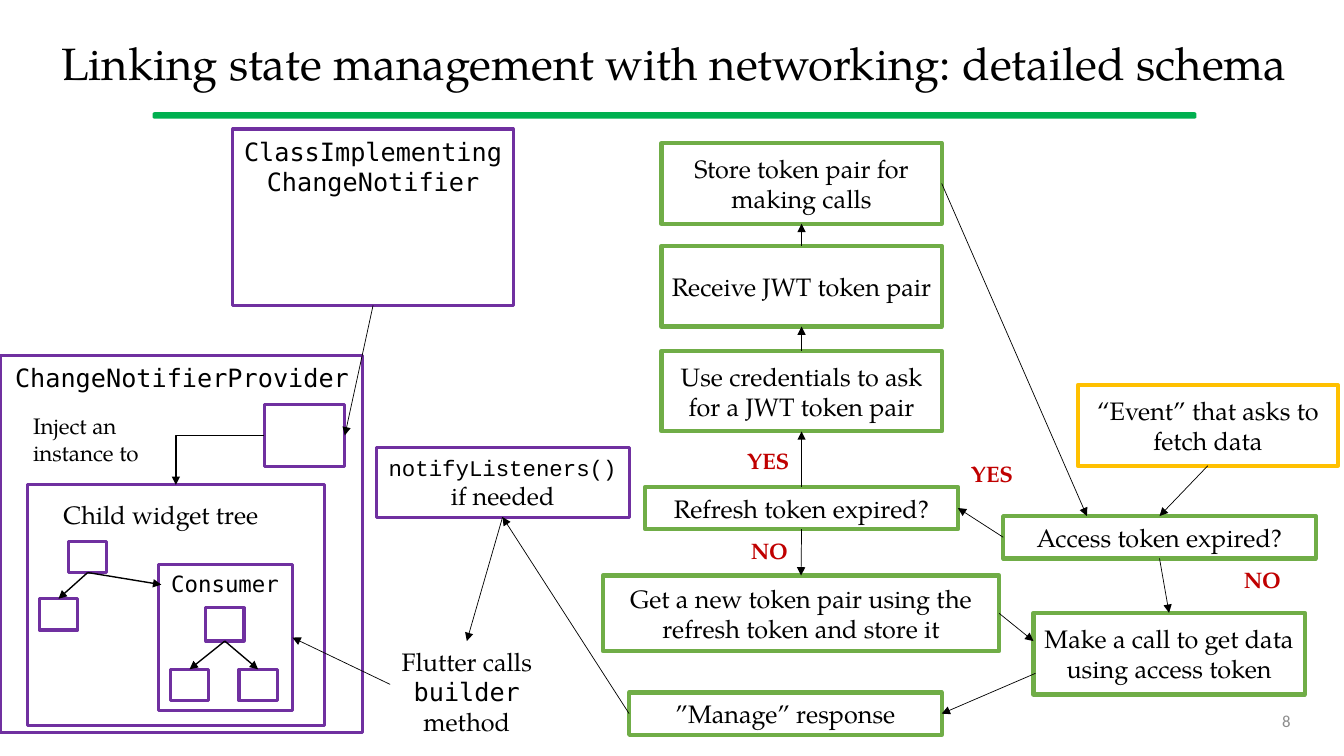
"""Builds a slide linking Flutter state management with token-based networking."""
from lxml import etree
from pptx import Presentation
from pptx.dml.color import RGBColor
from pptx.enum.shapes import MSO_CONNECTOR, MSO_SHAPE
from pptx.enum.text import MSO_ANCHOR, PP_ALIGN
from pptx.oxml.ns import qn
from pptx.util import Inches, Pt

RECTANGLE, ROUNDED = MSO_SHAPE.RECTANGLE, MSO_SHAPE.ROUNDED_RECTANGLE
STRAIGHT, ELBOW = MSO_CONNECTOR.STRAIGHT, MSO_CONNECTOR.ELBOW
LEFT, CENTER, RIGHT = PP_ALIGN.LEFT, PP_ALIGN.CENTER, PP_ALIGN.RIGHT
TOP, MIDDLE = MSO_ANCHOR.TOP, MSO_ANCHOR.MIDDLE
TOP_SITE, LEFT_SITE, BOTTOM_SITE, RIGHT_SITE = range(4)

BLACK = RGBColor(0x00, 0x00, 0x00)
WHITE = RGBColor(0xFF, 0xFF, 0xFF)
GRAY = RGBColor(0x8C, 0x8C, 0x8C)
RED = RGBColor(0xC0, 0x00, 0x00)
PURPLE = RGBColor(0x70, 0x30, 0xA0)
GREEN = RGBColor(0x70, 0xAD, 0x47)
BAR_GREEN = RGBColor(0x00, 0xB0, 0x50)
GOLD = RGBColor(0xFF, 0xC0, 0x00)

SERIF, MONO, COURIER, SANS = "TeX Gyre Pagella", "DejaVu Sans Mono", "Courier New", "Calibri"
COLUMNS, ROWS = 13.33, 7.5
CELL = Inches(1)
THIN, MEDIUM = 0.5, 1


def grid(*cells):
    """Turn grid columns and rows into slide lengths."""
    return [round(cell * CELL) for cell in cells]


def write(shape, text, size=18, font=SERIF, color=BLACK, align=CENTER, anchor=MIDDLE,
          bold=False, spacing=None):
    """Fill a shape with one wrapped paragraph in a single font."""
    frame = shape.text_frame
    frame.word_wrap = True
    frame.vertical_anchor = anchor
    paragraph = frame.paragraphs[0]
    paragraph.text = text
    paragraph.alignment = align
    paragraph.line_spacing = spacing
    paragraph.font.size = Pt(size)
    paragraph.font.name = font
    paragraph.font.bold = bold
    paragraph.font.color.rgb = color
    return paragraph


def add_run(paragraph, text, font, size=18):
    """Append a run in its own font."""
    run = paragraph.add_run()
    run.text = text
    run.font.name = font
    run.font.size = Pt(size)


def label(slide, place, text, anchor=TOP, **style):
    """Add a free text label."""
    return write(slide.shapes.add_textbox(*grid(*place)), text, anchor=anchor, **style)


def frame_box(slide, *place):
    """Add an unfilled purple widget frame."""
    shape = slide.shapes.add_shape(RECTANGLE, *grid(*place))
    shape.shadow.inherit = False
    shape.fill.background()
    shape.line.color.rgb = PURPLE
    shape.line.width = Pt(2.25)
    return shape


def step_box(slide, place, text, color=GREEN):
    """Add a white box for one step of the networking flow."""
    shape = slide.shapes.add_shape(RECTANGLE, *grid(*place))
    shape.shadow.inherit = False
    shape.fill.solid()
    shape.fill.fore_color.rgb = WHITE
    shape.line.color.rgb = color
    shape.line.width = Pt(3)
    write(shape, text)
    return shape


def arrow(slide, start, end, width=THIN, kind=STRAIGHT):
    """Draw an arrow between ends given as (shape, site) or (column, row)."""
    connector = slide.shapes.add_connector(kind, 0, 0, 0, 0)
    if isinstance(start[0], (int, float)):
        connector.begin_x, connector.begin_y = grid(*start)
    else:
        connector.begin_connect(*start)
    if isinstance(end[0], (int, float)):
        connector.end_x, connector.end_y = grid(*end)
    else:
        connector.end_connect(*end)
    connector.line.color.rgb = BLACK
    connector.line.width = Pt(width)
    etree.SubElement(connector.line._get_or_add_ln(), qn("a:tailEnd"), type="triangle")
    properties = connector._element.spPr
    etree.SubElement(properties, qn("a:effectLst"))
    if kind == ELBOW:
        properties.find(qn("a:prstGeom")).set("prst", "bentConnector2")


def add_heading(slide):
    """Add the title, the green bar and the slide number."""
    bar = slide.shapes.add_shape(ROUNDED, *grid(1.52, 1.12, 10.34, 0.05))
    bar.shadow.inherit = False
    bar.adjustments[0] = 0.26
    bar.fill.solid()
    bar.fill.fore_color.rgb = BAR_GREEN
    bar.line.color.rgb = BAR_GREEN
    bar.line.width = Pt(1)
    label(slide, (0.47, 0.18, 12.43, 0.94),
          "Linking state management with networking: detailed schema",
          anchor=MIDDLE, size=32.4, spacing=0.9)
    label(slide, (9.42, 6.95, 3.48, 0.4), "8",
          anchor=MIDDLE, size=12, font=SANS, color=GRAY, align=RIGHT)


def add_widget_side(slide):
    """Add the state management half and return its notify box."""
    notifier = frame_box(slide, 2.31, 1.28, 2.78, 1.75)
    label(slide, (2.3, 1.3, 2.8, 0.71), "ClassImplementingChangeNotifier", font=MONO)
    frame_box(slide, 0, 3.53, 3.6, 3.74)
    label(slide, (-0.07, 3.55, 3.75, 0.4), "ChangeNotifierProvider", font=MONO)
    tree = frame_box(slide, 0.27, 4.81, 2.95, 2.39)
    label(slide, (0.52, 4.9, 2.15, 0.4), "Child widget tree")
    instance = frame_box(slide, 2.62, 4.01, 0.8, 0.62)
    label(slide, (0.23, 4.04, 1.48, 0.64), "Inject an instance to", size=16, align=LEFT)
    consumer = frame_box(slide, 1.57, 5.6, 1.33, 1.45)
    label(slide, (1.6, 5.61, 1.28, 0.37), "Consumer", size=16, font=MONO, align=LEFT)

    root = frame_box(slide, 0.68, 5.37, 0.38, 0.31)
    leaf = frame_box(slide, 0.39, 5.94, 0.38, 0.31)
    parent = frame_box(slide, 2.04, 6.03, 0.38, 0.33)
    children = [frame_box(slide, column, 6.64, 0.38, 0.31) for column in (1.69, 2.37)]
    arrow(slide, (root, BOTTOM_SITE), (1.6, 5.8), MEDIUM)
    arrow(slide, (root, BOTTOM_SITE), (leaf, TOP_SITE), MEDIUM)
    for child in children:
        arrow(slide, (parent, BOTTOM_SITE), (child, TOP_SITE), MEDIUM)
    arrow(slide, (instance, LEFT_SITE), (tree, TOP_SITE), MEDIUM, ELBOW)
    arrow(slide, (notifier, BOTTOM_SITE), (instance, RIGHT_SITE))

    notify = frame_box(slide, 3.73, 4.44, 2.51, 0.69)
    paragraph = write(notify, "")
    add_run(paragraph, "notifyListeners() ", COURIER, 16)
    add_run(paragraph, "if needed", SERIF)
    paragraph = label(slide, (3.7, 6.36, 1.86, 1.01), "")
    for text, font in (("Flutter calls ", SERIF), ("builder ", MONO), ("method", SERIF)):
        add_run(paragraph, text, font)
    arrow(slide, (notify, BOTTOM_SITE), (4.63, 6.36))
    arrow(slide, (3.87, 6.79), (consumer, RIGHT_SITE))
    return notify


def add_network_side(slide, notify):
    """Add the token flow and lead its response back to the notify box."""
    event = step_box(slide, (10.69, 3.82, 2.58, 0.8), "“Event” that asks to fetch data", GOLD)
    access = step_box(slide, (9.95, 5.12, 3.1, 0.42), "Access token expired?")
    call = step_box(slide, (10.25, 6.08, 2.69, 0.81), "Make a call to get data using access token")
    refresh = step_box(slide, (6.4, 4.83, 3.1, 0.42), "Refresh token expired?")
    renew = step_box(slide, (5.98, 5.71, 3.93, 0.75),
                     "Get a new token pair using the refresh token and store it")
    manage = step_box(slide, (6.24, 6.87, 3.1, 0.42), "”Manage” response")
    store, receive, credentials = [
        step_box(slide, (6.56, row, 2.78, 0.8), text)
        for row, text in ((1.42, "Store token pair for making calls"),
                          (2.44, "Receive JWT token pair"),
                          (3.48, "Use credentials to ask for a JWT token pair"))]

    for lower, upper in ((refresh, credentials), (credentials, receive), (receive, store)):
        arrow(slide, (lower, TOP_SITE), (upper, BOTTOM_SITE))
    for upper, lower in ((event, access), (access, call), (refresh, renew)):
        arrow(slide, (upper, BOTTOM_SITE), (lower, TOP_SITE))
    arrow(slide, (access, LEFT_SITE), (refresh, RIGHT_SITE))
    arrow(slide, (store, RIGHT_SITE), (10.78, 5.12))
    arrow(slide, (renew, RIGHT_SITE), (10.25, 6.36))
    arrow(slide, (10.27, 6.68), (manage, RIGHT_SITE))
    arrow(slide, (manage, LEFT_SITE), (notify, BOTTOM_SITE))

    for column, row, answer in ((9.42, 4.55, "YES"), (12.1, 5.6, "NO"),
                                (7.21, 5.31, "NO"), (7.2, 4.42, "YES")):
        label(slide, (column, row, 0.84, 0.4), answer,
              size=16, color=RED, bold=True, spacing=0.9)


def main():
    """Build and save the slide."""
    presentation = Presentation()
    presentation.slide_width, presentation.slide_height = grid(COLUMNS, ROWS)
    slide = presentation.slides.add_slide(presentation.slide_layouts[6])
    add_heading(slide)
    notify = add_widget_side(slide)
    add_network_side(slide, notify)
    presentation.save("out.pptx")


if __name__ == "__main__":
    main()
